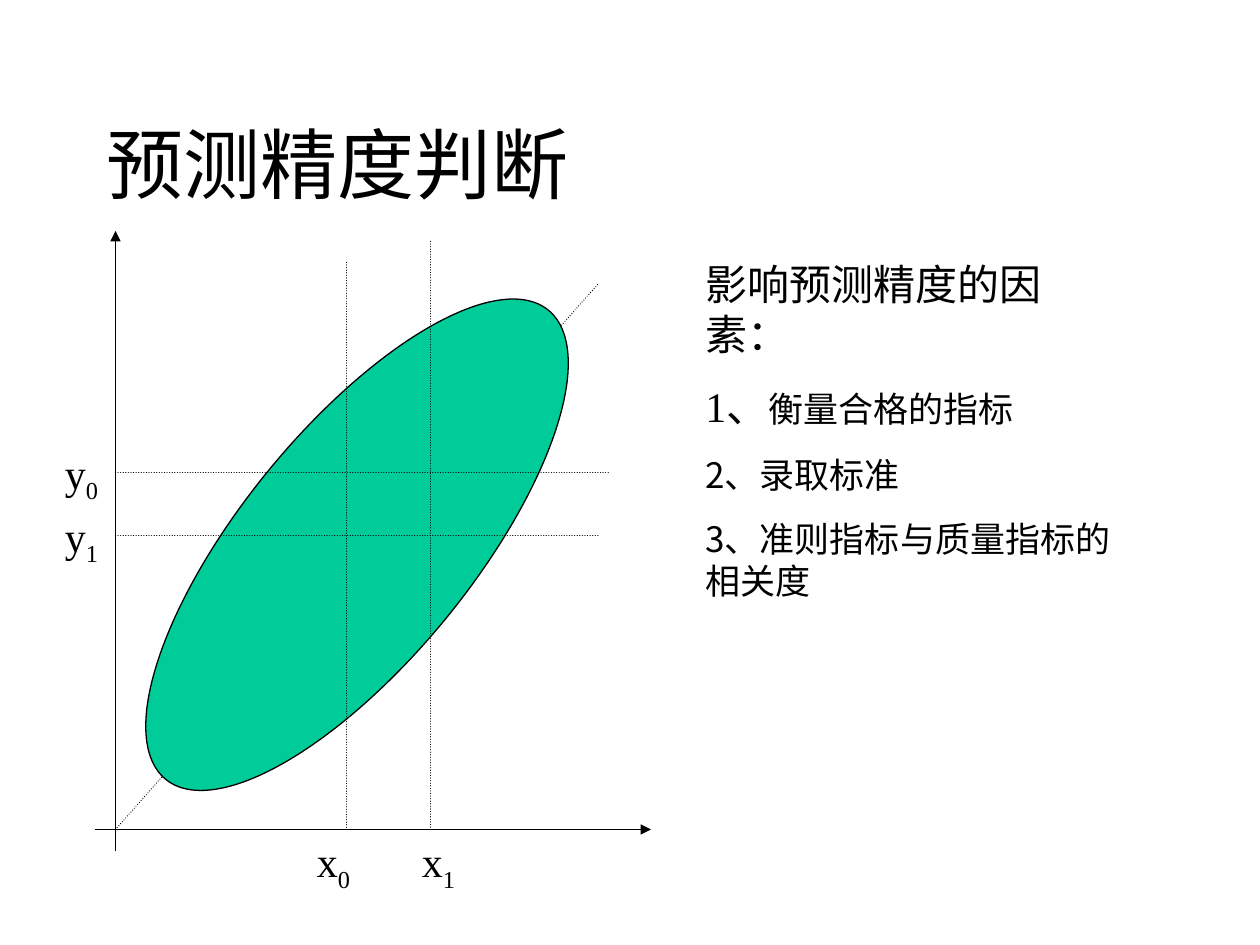
from dataclasses import dataclass

from lxml.etree import SubElement
from pptx import Presentation
from pptx.dml.color import RGBColor
from pptx.enum.dml import MSO_LINE
from pptx.enum.shapes import MSO_CONNECTOR, MSO_SHAPE
from pptx.enum.text import MSO_ANCHOR
from pptx.oxml.ns import qn
from pptx.slide import Slide
from pptx.util import Pt

SERIF = "Times New Roman"
SANS = "Noto Sans CJK SC"


def color(hex_string):
    return RGBColor.from_string(hex_string)


@dataclass
class Canvas:
    slide: Slide
    ink: str = "000000"
    accent: str = "00CC99"
    stroke: float = 0.75

    def outline(self, line):
        line.color.rgb = color(self.ink)
        line.width = Pt(self.stroke)

    def line(self, start, end):
        points = [Pt(value) for value in (*start, *end)]
        connector = self.slide.shapes.add_connector(MSO_CONNECTOR.STRAIGHT, *points)
        self.outline(connector.line)
        SubElement(connector._element.spPr, qn("a:effectLst"))
        return connector

    def axis(self, start, end):
        connector = self.line(start, end)
        line_element = connector.line._get_or_add_ln()
        SubElement(line_element, qn("a:tailEnd"), type="triangle")

    def guide(self, start, end):
        connector = self.line(start, end)
        connector.line.dash_style = MSO_LINE.ROUND_DOT
        connector.line._get_or_add_ln().set("cap", "rnd")

    def ellipse(self, left, top, width, height, rotation):
        shape = self.slide.shapes.add_shape(
            MSO_SHAPE.OVAL, Pt(left), Pt(top), Pt(width), Pt(height))
        shape.shadow.inherit = False
        shape.rotation = rotation
        shape.fill.solid()
        shape.fill.fore_color.rgb = color(self.accent)
        self.outline(shape.line)

    def style(self, run, size, font_name=SERIF):
        run.font.size = Pt(size)
        run.font.name = font_name
        run.font.color.rgb = color(self.ink)
        SubElement(run.font._element, qn("a:ea"), typeface=SANS)

    def text(self, left, top, width, height, paragraphs, anchor=MSO_ANCHOR.TOP):
        box = self.slide.shapes.add_textbox(Pt(left), Pt(top), Pt(width), Pt(height))
        text_frame = box.text_frame
        text_frame.word_wrap = True
        text_frame.vertical_anchor = anchor
        for index, runs in enumerate(paragraphs):
            paragraph = text_frame.add_paragraph() if index else text_frame.paragraphs[0]
            paragraph._element.get_or_add_pPr().set("hangingPunct", "0")
            if index:
                paragraph.space_before = Pt(12.5)
            for content, size, font_name in runs:
                run = paragraph.add_run()
                run.text = content
                self.style(run, size, font_name)
        return box

    def variable(self, left, top, width, letter, subscript):
        runs = [(letter, 24, SERIF), (subscript, 24, SERIF)]
        box = self.text(left, top, width, 40, [runs])
        index_run = box.text_frame.paragraphs[0].runs[1]
        index_run.font._element.set("baseline", "-25000")


def main():
    presentation = Presentation()
    presentation.slide_width = Pt(720)
    presentation.slide_height = Pt(540)
    canvas = Canvas(presentation.slides.add_slide(presentation.slide_layouts[6]))

    canvas.text(54, 48, 612, 90, [[("预测精度判断", 44, SERIF)]], MSO_ANCHOR.MIDDLE)

    origin_x, origin_y = 66, 474
    canvas.axis((origin_x, 486), (origin_x, 132))
    canvas.axis((54, origin_y), (372, origin_y))
    canvas.guide((origin_x, origin_y), (342, 162))
    canvas.ellipse(31, 245.3, 346, 132, 129.2)

    for x, top in ((246, 138), (198, 150)):
        canvas.guide((x, top), (x, origin_y))
    for y, right in ((270, 348), (306, 342)):
        canvas.guide((origin_x, y), (right, y))

    for left, top, width, letter, subscript in (
        (30, 252, 66, "y", "0"),
        (30, 288, 42, "y", "1"),
        (174, origin_y, 48, "x", "0"),
        (234, origin_y, 60, "x", "1"),
    ):
        canvas.variable(left, top, width, letter, subscript)

    canvas.text(396, 144, 252, 174, [
        [("影响预测精度的因素：", 24, SERIF)],
        [("1、", 24, SERIF), ("衡量合格的指标", 20, SANS)],
        [("2、录取标准", 20, SANS)],
        [("3、准则指标与质量指标的相关度", 20, SANS)],
    ])

    presentation.save("out.pptx")


if __name__ == "__main__":
    main()
